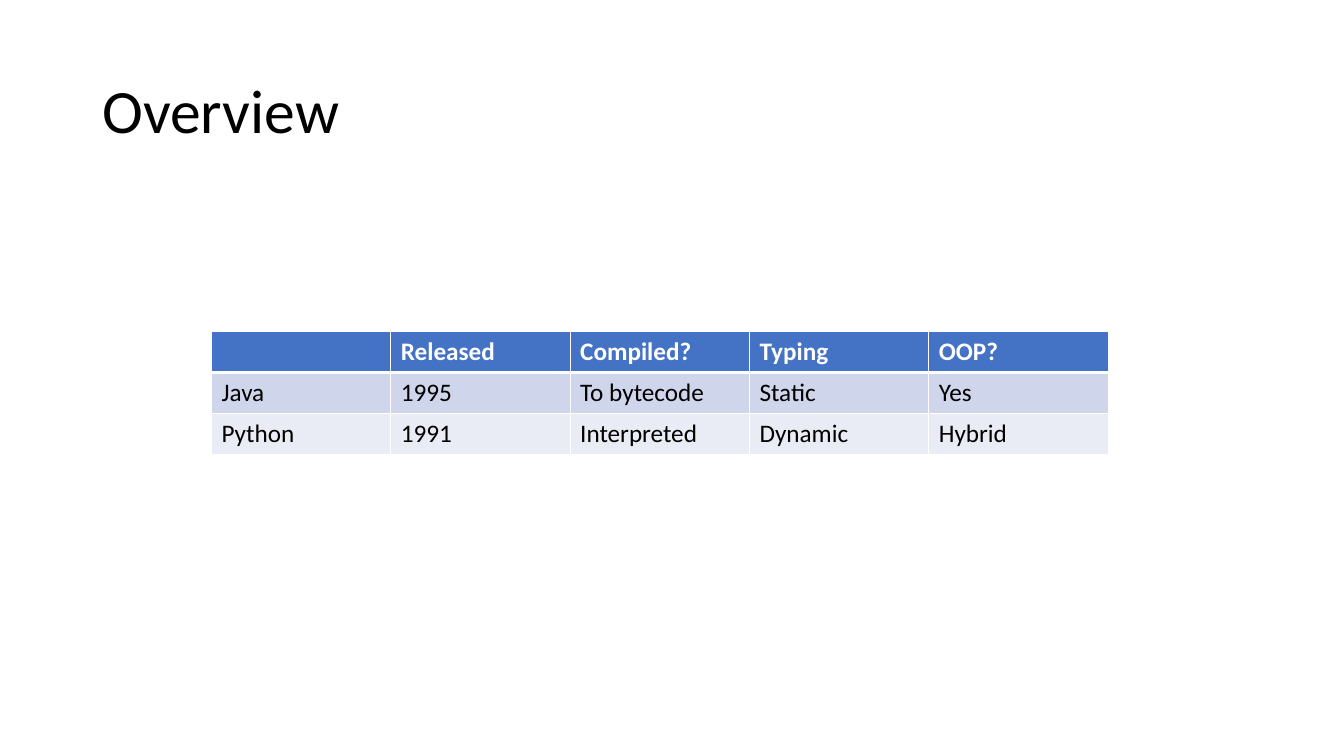
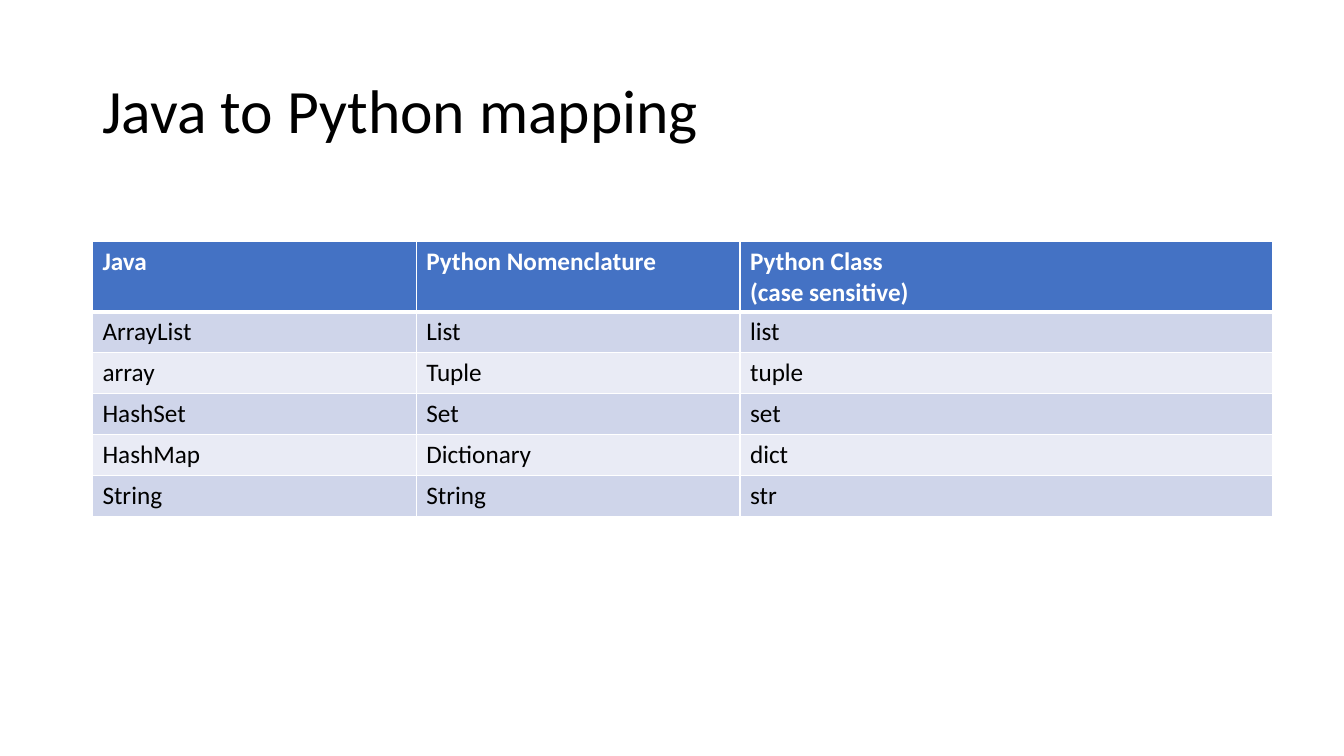
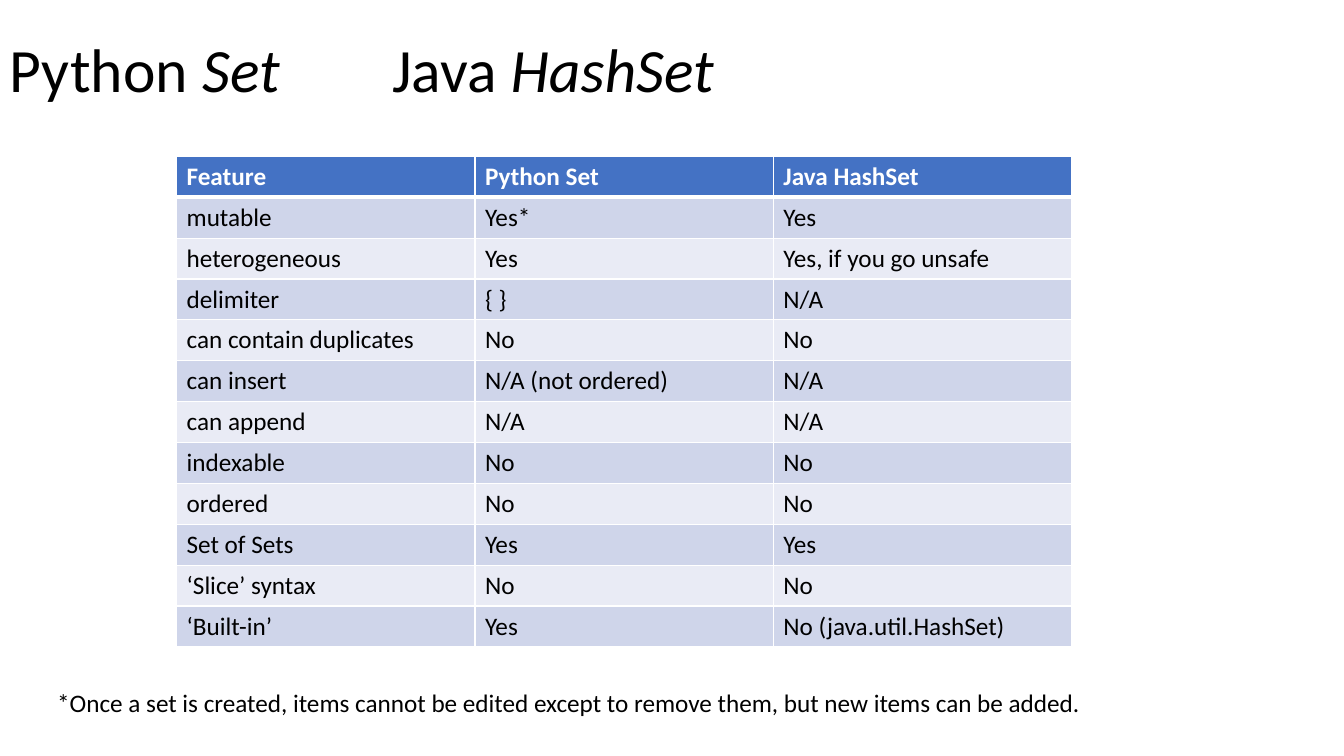
from lxml.etree import SubElement
from pptx import Presentation
from pptx.dml.color import RGBColor
from pptx.enum.text import MSO_ANCHOR
from pptx.oxml.ns import qn
from pptx.util import Cm, Pt

INK = {"text": "000000", "light": "FFFFFF", "head": "4472C4",
       "odd": "CFD5EA", "even": "E9EBF5"}
FONT = "Calibri"
ROW = 1.03
TITLE = {"size": 44, "color": "text"}
HEAD = {"size": 18, "color": "light", "bold": True}
BODY = {"size": 18, "color": "text", "bold": False}

# Content: title runs are (text, italic); boxes are left, top, width, height in cm
SLIDES = [
    {
        "title": [("Overview", False)],
        "box": (2.33, 1.01, 29.21, 3.68),
        "at": (5.33, 8.36),
        "cols": [4.52] * 5,
        "rows": [
            ("", "Released", "Compiled?", "Typing", "OOP?"),
            ("Java", "1995", "To bytecode", "Static", "Yes"),
            ("Python", "1991", "Interpreted", "Dynamic", "Hybrid"),
        ],
    },
    {
        "title": [("Java to Python mapping", False)],
        "box": (2.33, 1.01, 29.21, 3.68),
        "at": (2.33, 6.08),
        "cols": [8.16, 8.16, 13.42],
        "rows": [
            ("Java", "Python Nomenclature", "Python Class\n(case sensitive)"),
            ("ArrayList", "List", "list"),
            ("array", "Tuple", "tuple"),
            ("HashSet", "Set", "set"),
            ("HashMap", "Dictionary", "dict"),
            ("String", "String", "str"),
        ],
    },
    {
        "title": [("Python ", False), ("Set", True),
                  ("\tJava ", False), ("HashSet", True)],
        "tab": 9.63,
        "box": (0, 0, 29.21, 3.68),
        "at": (4.45, 3.94),
        "cols": [7.52] * 3,
        "rows": [
            ("Feature", "Python Set", "Java HashSet"),
            ("mutable", "Yes*", "Yes"),
            ("heterogeneous", "Yes", "Yes, if you go unsafe"),
            ("delimiter", "{ }", "N/A"),
            ("can contain duplicates", "No", "No"),
            ("can insert", "N/A (not ordered)", "N/A"),
            ("can append", "N/A", "N/A"),
            ("indexable", "No", "No"),
            ("ordered", "No", "No"),
            ("Set of Sets", "Yes", "Yes"),
            ("‘Slice’ syntax", "No", "No"),
            ("‘Built-in’", "Yes", "No (java.util.HashSet)"),
        ],
        "note": "*Once a set is created, items cannot be edited except to "
                "remove them, but new items can be added.",
        "foot": (1.19, 17.2, 27.48, 1.03),
    },
]


def style(run, form):
    look = {"name": FONT, **form}
    look["size"] = Pt(form["size"])
    run.font.color.rgb = RGBColor.from_string(INK[look.pop("color")])
    for key, val in look.items():
        setattr(run.font, key, val)


def add_text(slide, box, parts, form, anchor=MSO_ANCHOR.TOP):
    frame = slide.shapes.add_textbox(*map(Cm, box)).text_frame
    frame.word_wrap = True
    frame.vertical_anchor = anchor
    para = frame.paragraphs[0]
    for text, slant in parts:
        run = para.add_run()
        run.text = text
        style(run, {**form, "italic": slant})
    return para


def add_title(slide, data):
    para = add_text(slide, data["box"], data["title"], TITLE, MSO_ANCHOR.MIDDLE)
    para.line_spacing = 0.9
    if "tab" in data:
        tabs = SubElement(para._p.get_or_add_pPr(), qn("a:tabLst"))
        SubElement(tabs, qn("a:tab"), pos=str(Cm(data["tab"])), algn="l")


def edge(cell, row):
    # The rule under the header row is thicker than the others
    wide = {"L": 1, "R": 1, "T": 3 if row == 1 else 1, "B": 3 if row == 0 else 1}
    props = cell._tc.get_or_add_tcPr()
    for side, size in wide.items():
        line = SubElement(props, qn("a:ln" + side), w=str(Pt(size)))
        fill = SubElement(line, qn("a:solidFill"))
        SubElement(fill, qn("a:srgbClr"), val=INK["light"])


def add_grid(slide, data):
    rows, cols = data["rows"], data["cols"]
    size = (sum(cols), ROW * len(rows))
    grid = slide.shapes.add_table(
        len(rows), len(cols), *map(Cm, data["at"] + size)).table
    for col, width in zip(grid.columns, cols):
        col.width = Cm(width)
    for i, row in enumerate(rows):
        grid.rows[i].height = Cm(ROW)
        shade = "head" if i == 0 else "odd" if i % 2 else "even"
        for j, text in enumerate(row):
            cell = grid.cell(i, j)
            edge(cell, i)
            cell.fill.solid()
            cell.fill.fore_color.rgb = RGBColor.from_string(INK[shade])
            para = cell.text_frame.paragraphs[0]
            para.text = text
            for run in para.runs:
                style(run, BODY if i else HEAD)


def main():
    deck = Presentation()
    deck.slide_width, deck.slide_height = Cm(33.87), Cm(19.05)
    for data in SLIDES:
        slide = deck.slides.add_slide(deck.slide_layouts[6])
        add_title(slide, data)
        add_grid(slide, data)
        if "note" in data:
            add_text(slide, data["foot"], [(data["note"], False)], BODY)
    deck.save("out.pptx")


if __name__ == "__main__":
    main()
